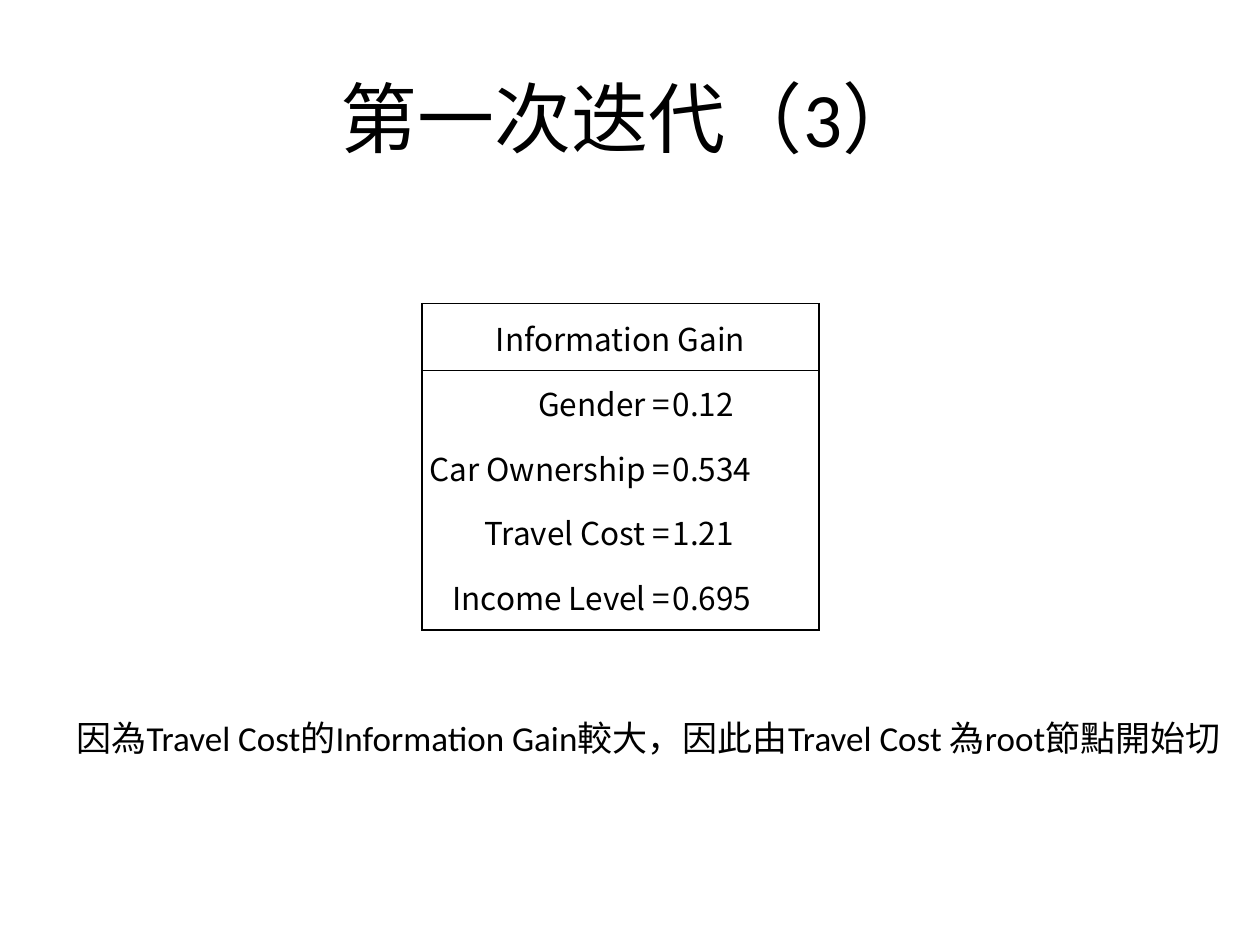
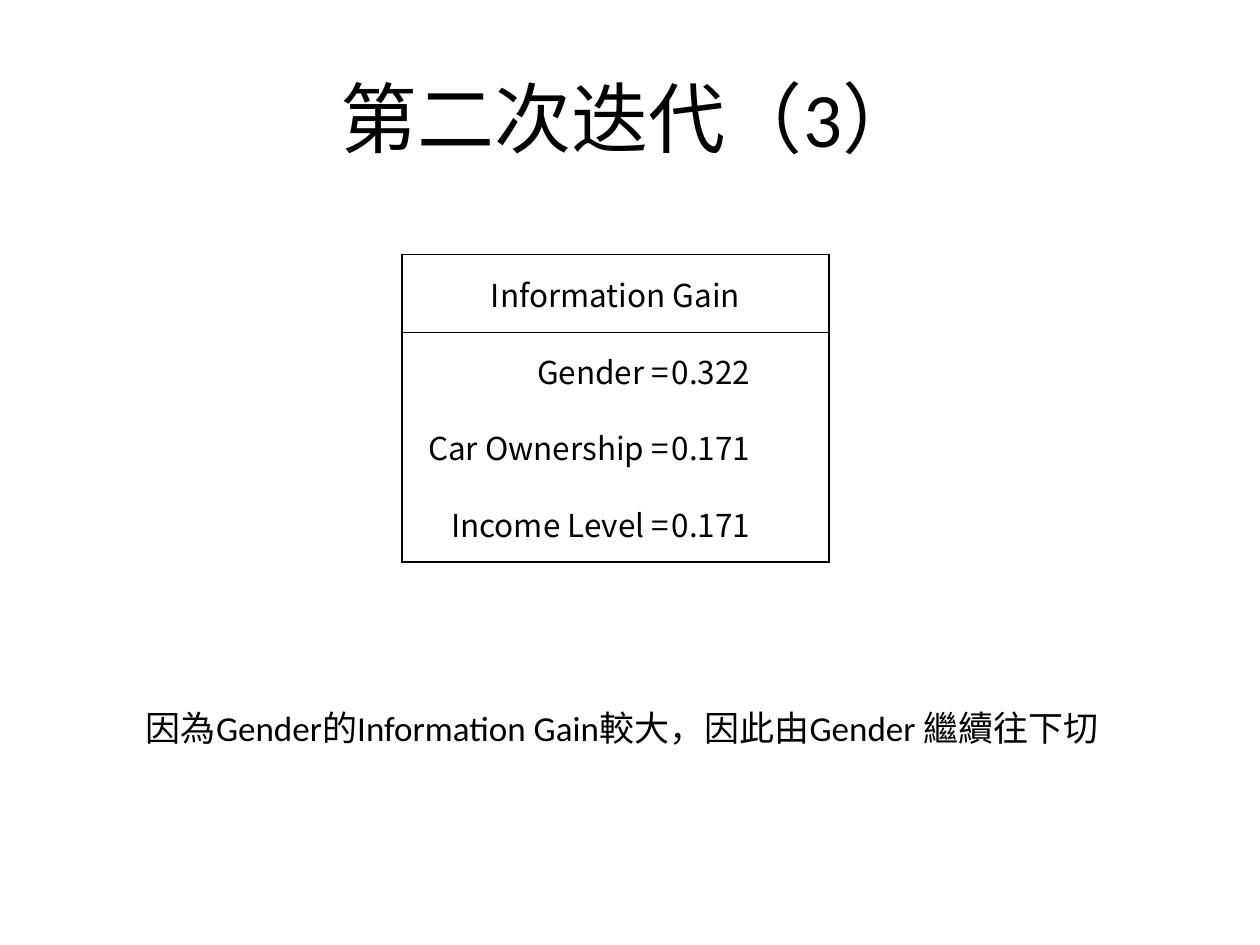
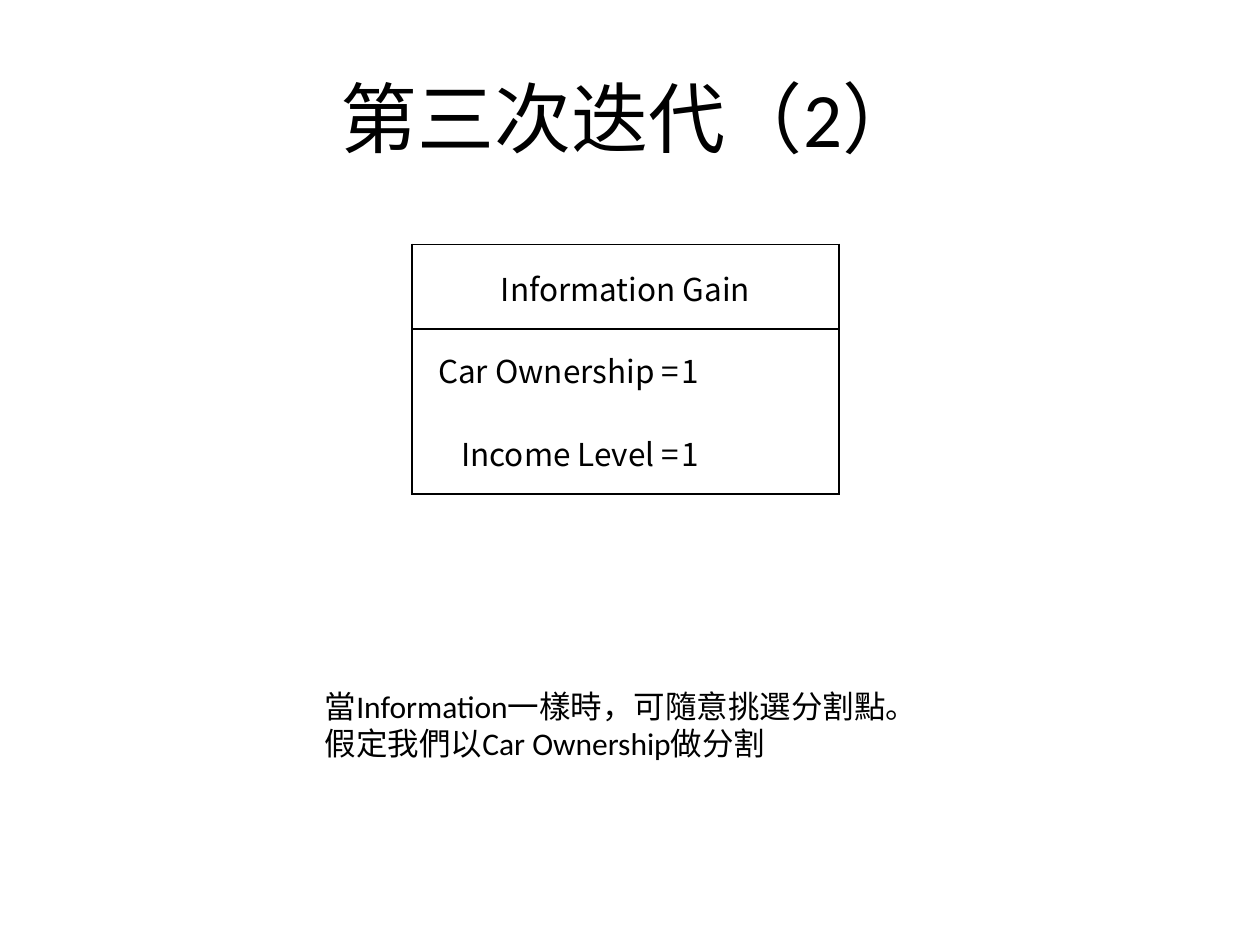
import pptx
import pptx.dml.color
import pptx.enum.text
import pptx.oxml
import pptx.oxml.ns
import pptx.util

Inches = pptx.util.Inches
ALIGN = pptx.enum.text.PP_ALIGN
MIDDLE = pptx.enum.text.MSO_ANCHOR.MIDDLE

# Content: places are (left, top), lengths in inches
ITERATIONS = [
    {"title": "第一次迭代（3）",
     "gains": [("Gender", "0.12"), ("Car Ownership", "0.534"),
               ("Travel Cost", "1.21"), ("Income Level", "0.695")],
     "table_at": (3.35, 2.41), "columns": (1.98, 1.17),
     "edge_row": 0.53, "inner_row": 0.51,
     "note": "因為Travel Cost的Information Gain較大，因此由Travel Cost 為root節點開始切",
     "note_box": (0.51, 5.64, 9.36, 0.44), "note_size": 20},
    {"title": "第二次迭代（3）",
     "gains": [("Gender", "0.322"), ("Car Ownership", "0.171"),
               ("Income Level", "0.171")],
     "table_at": (3.19, 2.02), "columns": (2.13, 1.26),
     "edge_row": 0.62, "inner_row": 0.6,
     "note": "因為Gender的Information Gain較大，因此由Gender 繼續往下切",
     "note_box": (1.06, 5.56, 7.83, 0.44), "note_size": 20},
    {"title": "第三次迭代（2）",
     "gains": [("Car Ownership", "1"), ("Income Level", "1")],
     "table_at": (3.27, 1.94), "columns": (2.13, 1.26),
     "edge_row": 0.67, "inner_row": 0.64,
     "note": "當Information一樣時，可隨意挑選分割點。\n假定我們以Car Ownership做分割",
     "note_box": (2.48, 5.4, 5, 0.71), "note_size": 18},
]

# Shared style
INK, PAPER = "000000", "FFFFFF"
LATIN_FONT, CJK_FONT = "Calibri", "Noto Sans CJK TC"
TITLE_BOX, TITLE_SIZE = (0.5, 0.3, 9, 1.25), 44
CELL_SIZE, CELL_INSET, RULE_WIDTH = 18, 0.01, 1


def color(hex_code):
    return pptx.dml.color.RGBColor.from_string(hex_code)


def style_text(frame, size, font, align):
    for para in frame.paragraphs:
        para.alignment = align
        for span in para.runs:
            span.font.size = pptx.util.Pt(size)
            span.font.name = font
            span.font.color.rgb = color(INK)
            east_asian = pptx.oxml.parse_xml(
                f'<a:ea {pptx.oxml.ns.nsdecls("a")} typeface="{CJK_FONT}"/>')
            span.font._element.find(pptx.oxml.ns.qn("a:latin")).addnext(east_asian)


def add_text(page, place, text, size, align=ALIGN.LEFT):
    box = page.shapes.add_textbox(*map(Inches, place))
    frame = box.text_frame
    frame.word_wrap = True
    frame.text = text
    style_text(frame, size, LATIN_FONT, align)
    return frame


def set_borders(cell, sides):
    """Rule the named sides (L, R, T, B) and clear the others."""
    properties = cell._tc.get_or_add_tcPr()
    for index, side in enumerate("LRTB"):
        paint = (f'<a:solidFill><a:srgbClr val="{INK}"/></a:solidFill>'
                 if side in sides else "<a:noFill/>")
        properties.insert(index, pptx.oxml.parse_xml(
            f'<a:ln{side} {pptx.oxml.ns.nsdecls("a")} '
            f'w="{pptx.util.Pt(RULE_WIDTH)}">{paint}</a:ln{side}>'))


def add_gain_table(page, item):
    rows = [("Information Gain", "")]
    rows += [(f"{name} =", gain) for name, gain in item["gains"]]
    last = len(rows) - 1
    heights = [item["edge_row"] if r in (0, last) else item["inner_row"]
               for r in range(len(rows))]
    table = page.shapes.add_table(
        len(rows), 2, *map(Inches, item["table_at"]),
        Inches(sum(item["columns"])), Inches(sum(heights))).table
    table.first_row = table.horz_banding = False
    for column, width in zip(table.columns, item["columns"]):
        column.width = Inches(width)
    table.cell(0, 0).merge(table.cell(0, 1))

    for r, row in enumerate(rows):
        table.rows[r].height = Inches(heights[r])
        for c, text in enumerate(row):
            cell = table.cell(r, c)
            cell.fill.solid()
            cell.fill.fore_color.rgb = color(PAPER)
            cell.vertical_anchor = MIDDLE
            cell.margin_left = cell.margin_right = cell.margin_top = Inches(CELL_INSET)
            cell.margin_bottom = 0
            # Outer frame plus the line under the heading
            sides = "L" if c == 0 else "R"
            sides += "R" if r == 0 else ""
            sides += "T" if r <= 1 else ""
            sides += "B" if r in (0, last) else ""
            set_borders(cell, sides)
            if text:
                cell.text_frame.text = text
                align = ALIGN.CENTER if r == 0 else (ALIGN.RIGHT, ALIGN.LEFT)[c]
                style_text(cell.text_frame, CELL_SIZE, CJK_FONT, align)


def main():
    deck = pptx.Presentation()
    deck.slide_width, deck.slide_height = Inches(10), Inches(7.5)
    for item in ITERATIONS:
        page = deck.slides.add_slide(deck.slide_layouts[6])
        title = add_text(page, TITLE_BOX, item["title"], TITLE_SIZE, ALIGN.CENTER)
        title.vertical_anchor = MIDDLE
        add_gain_table(page, item)
        add_text(page, item["note_box"], item["note"], item["note_size"])
    deck.save("out.pptx")


if __name__ == "__main__":
    main()
